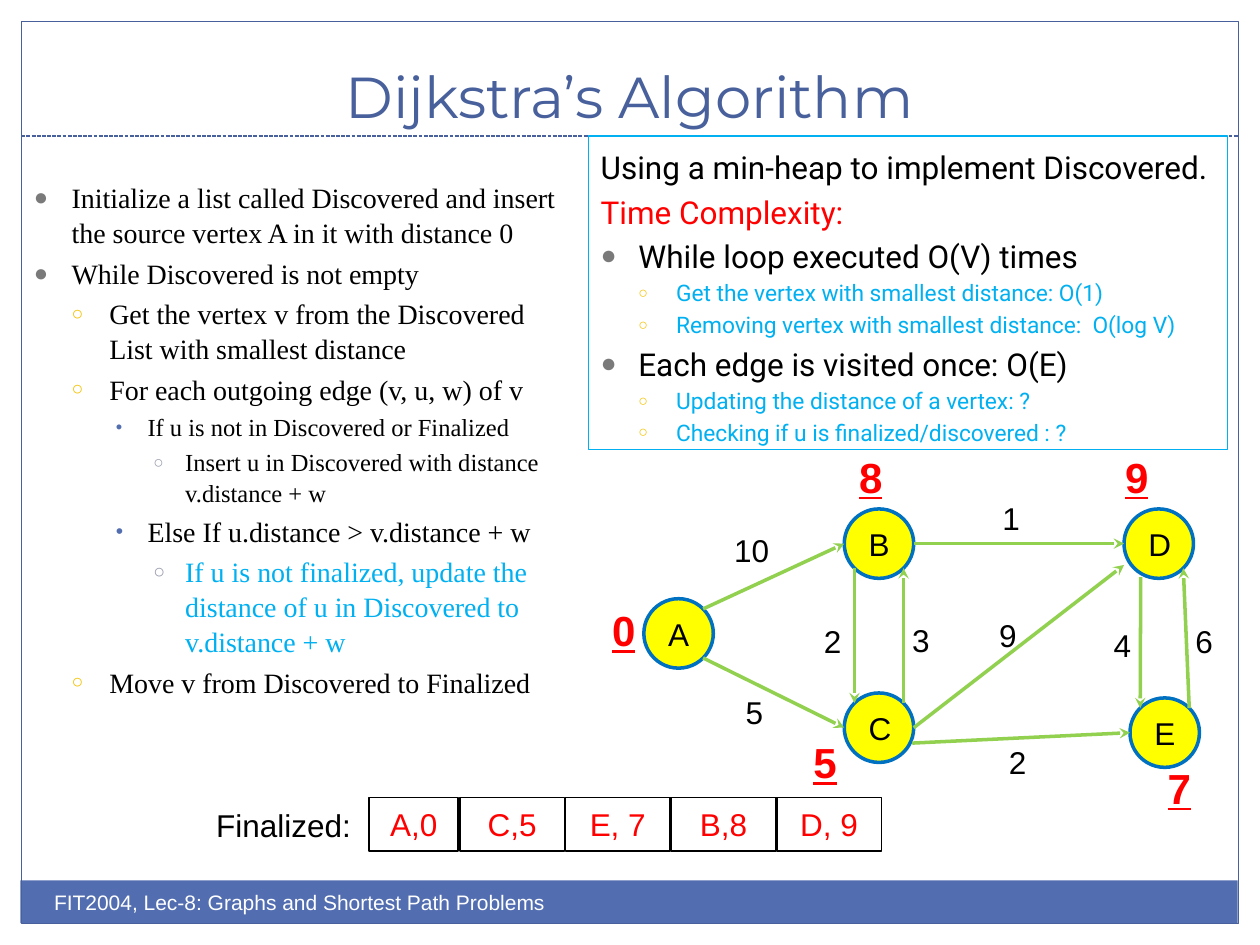
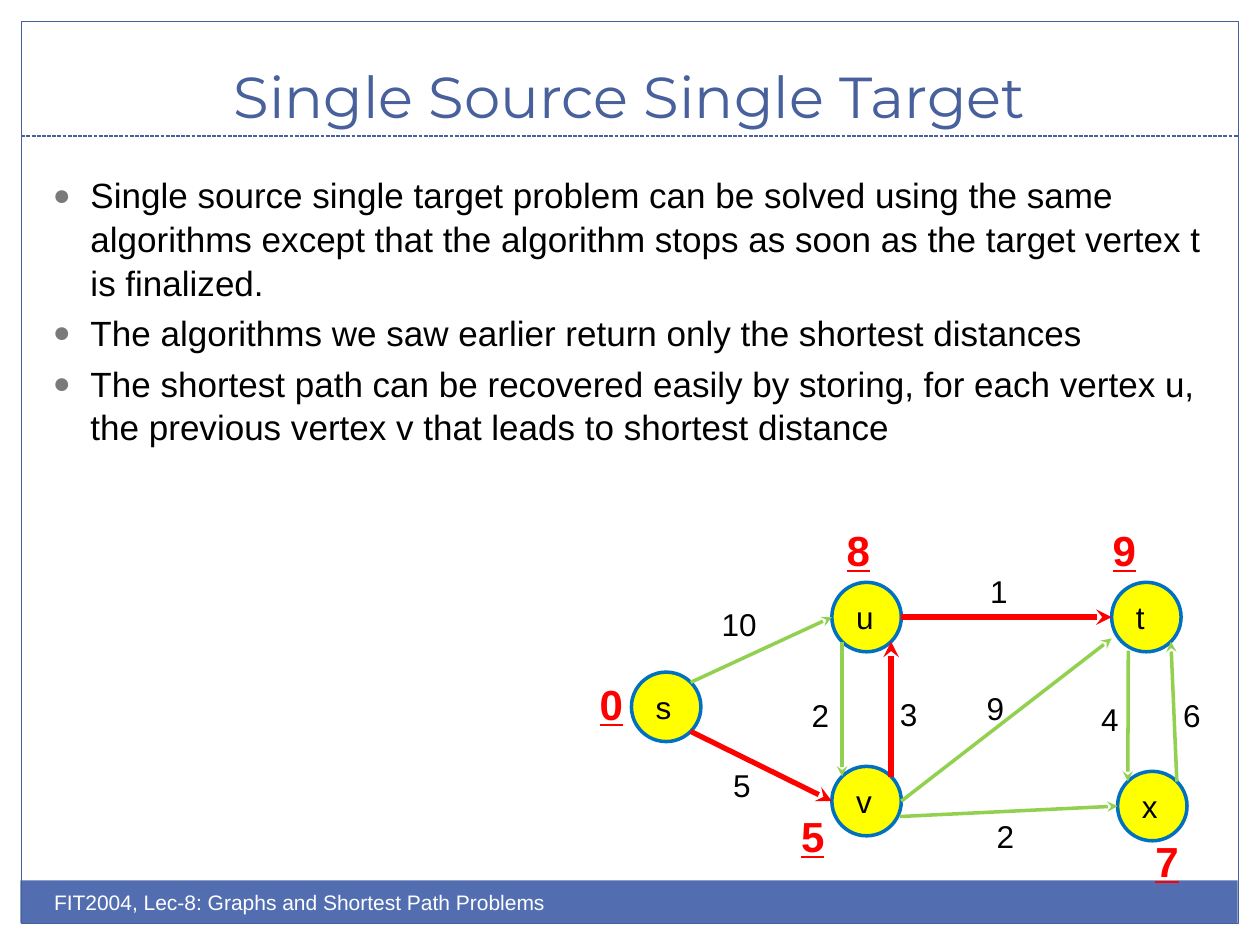
from collections import namedtuple
from math import cos, radians, sin

from lxml import etree
from pptx import Presentation
from pptx.dml.color import RGBColor
from pptx.enum import dml, shapes, text
from pptx.oxml import ns
from pptx.util import Cm, Pt

# Shared style
BLUE, BAND, WHITE, BLACK = "48609B", "526DB0", "FFFFFF", "000000"
RED, GREEN, CYAN = "FF0000", "92D050", "00B0F0"
YELLOW, NODE_LINE = "FFFF00", "0070C0"
FOOTER = "FIT2004, Lec-8: Graphs and Shortest Path Problems"

# Bullets by level: sign, colour, size in percent, left and hanging indent in cm
Bullet = namedtuple("Bullet", "sign color percent left hang")
BULLETS = [
    Bullet("●", "7A7A7A", 85, 0.76, 0.76),
    Bullet("○", "F5C201", 70, 1.52, 0.76),
    Bullet("•", BAND, 75, 2.29, 0.64),
    Bullet("○", "989AAC", 70, 3.05, 0.64),
]
Item = namedtuple("Item", "words level size color", defaults=(0, 16, BLACK))

# Graph: node corners, edges and distances in cm
DIAMETER = 1.4
NODES = {"A": (12.98, 12.07), "B": (17.02, 10.26), "C": (17.02, 13.97),
         "D": (22.66, 10.26), "E": (22.78, 14.07)}
ANGLES = {"e": 0, "se": 45, "sw": 135, "w": 180, "nw": 225, "ne": 315}
Edge = namedtuple("Edge", "start leave end enter weight label leave_shift enter_shift",
                  defaults=((0, 0), (0, 0)))
EDGES = [
    Edge("A", "ne", "B", "w", "10", (14.55, 10.59)),
    Edge("A", "se", "C", "w", "5", (14.78, 13.84)),
    Edge("B", "sw", "C", "nw", "2", (16.36, 12.42)),
    Edge("C", "ne", "B", "se", "3", (18.14, 12.4)),
    Edge("B", "e", "D", "w", "1", (19.96, 9.93)),
    Edge("C", "e", "D", "w", "9", (19.89, 12.29), enter_shift=(0, 0.43)),
    Edge("C", "e", "E", "w", "2", (20.09, 14.86), leave_shift=(-0.03, 0.31)),
    Edge("D", "sw", "E", "nw", "4", (22.2, 12.5), leave_shift=(0.13, 0.18)),
    Edge("E", "ne", "D", "se", "6", (23.85, 12.42)),
]
DISTANCES = {"0": (12.09, 12.07), "5": (16.15, 14.73), "8": (17.07, 8.97),
             "9": (22.43, 8.97), "7": (23.29, 15.24)}


def rgb(color):
    return RGBColor.from_string(color)


def add_child(parent, tag, **attributes):
    return etree.SubElement(parent, ns.qn(tag), attributes)


class Deck:
    def __init__(self):
        self.deck = Presentation()
        self.deck.slide_width, self.deck.slide_height = Cm(25.4), Cm(19.05)
        self.page = None

    def new_page(self, title):
        self.page = self.deck.slides.add_slide(self.deck.slide_layouts[1])
        # Frame, footer band and title rule
        self.shape(0.41, 17.75, 24.54, 0.86, fill=BAND)
        self.shape(0.43, 0.43, 24.54, 18.19, line=BLUE)
        rule = self.line((0.43, 2.74), (24.97, 2.74), BLUE, 0.75)
        rule.line.dash_style = dml.MSO_LINE.SQUARE_DOT
        # Title and footer
        box = self.page.shapes.title
        self.place(box, 0.84, 0.64, 23.7, 2.1)
        frame = box.text_frame
        frame.auto_size = text.MSO_AUTO_SIZE.NONE
        frame.vertical_anchor = text.MSO_ANCHOR.BOTTOM
        frame.paragraphs[0].alignment = text.PP_ALIGN.CENTER
        self.add_span(frame.paragraphs[0], title, 33, BLUE, "Montserrat")
        self.label(0.84, 17.81, FOOTER, width=12.7, size=12, color=WHITE)

    def place(self, box, left, top, width, height):
        box.left, box.top, box.width, box.height = map(Cm, (left, top, width, height))

    def add_span(self, para, words, size=18, color=BLACK, font="Arial", strong=False):
        span = para.add_run()
        span.text = words
        span.font.name, span.font.size = font, Pt(size)
        span.font.color.rgb = rgb(color)
        if strong:
            span.font.bold = span.font.underline = True

    def shape(self, left, top, width, height, fill=None, line=None, weight=0.75,
              kind=shapes.MSO_SHAPE.RECTANGLE):
        box = self.page.shapes.add_shape(kind, *map(Cm, (left, top, width, height)))
        box.shadow.inherit = False
        if fill:
            box.fill.solid()
            box.fill.fore_color.rgb = rgb(fill)
        else:
            box.fill.background()
        if line:
            box.line.color.rgb = rgb(line)
            box.line.width = Pt(weight)
        else:
            box.line.fill.background()
        return box

    def line(self, start, end, color, weight, arrow=False):
        line = self.page.shapes.add_connector(
            shapes.MSO_CONNECTOR.STRAIGHT, *map(Cm, (*start, *end)))
        line.line.color.rgb = rgb(color)
        line.line.width = Pt(weight)
        if arrow:
            outline = line._element.spPr.find(ns.qn("a:ln"))
            add_child(outline, "a:tailEnd", type="stealth")
        add_child(line._element.spPr, "a:effectLst")
        return line

    def label(self, left, top, words, width=1.0, height=1.02, **style):
        box = self.page.shapes.add_textbox(*map(Cm, (left, top, width, height)))
        box.text_frame.word_wrap = True
        self.add_span(box.text_frame.paragraphs[0], words, **style)

    def cell(self, left, top, width, height, words):
        box = self.shape(left, top, width, height, line=BLACK, weight=1)
        frame = box.text_frame
        frame.vertical_anchor = text.MSO_ANCHOR.MIDDLE
        frame.paragraphs[0].alignment = text.PP_ALIGN.CENTER
        self.add_span(frame.paragraphs[0], words, color=RED)

    def body(self, left, top, width, height, items, font):
        box = self.page.placeholders[1]
        self.place(box, left, top, width, height)
        self.fill_list(box.text_frame, items, font, 1.04)

    def fill_list(self, frame, items, font, spacing=1.0):
        """Add items as paragraphs; a level of None means no bullet."""
        frame.word_wrap = True
        frame.auto_size = text.MSO_AUTO_SIZE.NONE
        frame.vertical_anchor = text.MSO_ANCHOR.TOP
        frame.margin_top = Pt(3.6 + 0.2 * items[0].size)
        for number, item in enumerate(items):
            para = frame.add_paragraph() if number else frame.paragraphs[0]
            para.alignment = text.PP_ALIGN.LEFT
            para.line_spacing = spacing
            para.space_before = Pt(0.2 * item.size if number else 0)
            if item.level is not None:
                self.bullet(para, item.level)
            self.add_span(para, item.words, item.size, item.color, font)

    def bullet(self, para, level):
        para.level = level
        style = BULLETS[level]
        props = para._p.get_or_add_pPr()
        props.set("marL", str(Cm(style.left)))
        props.set("indent", str(-Cm(style.hang)))
        add_child(add_child(props, "a:buClr"), "a:srgbClr", val=style.color)
        add_child(props, "a:buSzPct", val=str(style.percent * 1000))
        add_child(props, "a:buFont", typeface="Arial")
        add_child(props, "a:buChar", char=style.sign)

    def graph(self, names, shift=(0, 0), shortest=()):
        """Draw the weighted graph, moved by shift, with shortest edges in red."""
        def moved(point, by=shift):
            return point[0] + by[0], point[1] + by[1]

        def rim(node, side, nudge):
            left, top = moved(moved(NODES[node]), nudge)
            angle, radius = radians(ANGLES[side]), DIAMETER / 2
            return left + radius * (1 + cos(angle)), top + radius * (1 + sin(angle))

        for node, name in zip(NODES, names):
            corner = moved(NODES[node])
            self.shape(*corner, DIAMETER, DIAMETER, YELLOW, NODE_LINE, 2,
                       shapes.MSO_SHAPE.OVAL)
            self.label(*moved(corner, (0.24, 0.2)), name)
        for edge in EDGES:
            chosen = edge.start + edge.end in shortest
            self.line(rim(edge.start, edge.leave, edge.leave_shift),
                      rim(edge.end, edge.enter, edge.enter_shift),
                      RED if chosen else GREEN, 3 if chosen else 2, arrow=True)
            self.label(*moved(edge.label), edge.weight, width=1.3)
        for distance, point in DISTANCES.items():
            self.label(*moved(point), distance, height=1.27, size=24, color=RED,
                       strong=True)


def dijkstra_page(deck):
    deck.new_page("Dijkstra’s Algorithm")
    # Steps
    deck.body(0.43, 3.38, 11.23, 9.96, [
        Item("Initialize a list called Discovered and insert the source vertex A "
             "in it with distance 0"),
        Item("While Discovered is not empty"),
        Item("Get the vertex v from the Discovered List with smallest distance", 1),
        Item("For each outgoing edge (v, u, w) of v", 1),
        Item("If u is not in Discovered or Finalized", 2, 14),
        Item("Insert u in Discovered with distance v.distance + w", 3, 14),
        Item("Else If u.distance > v.distance + w", 2),
        Item("If u is not finalized, update the distance of u in Discovered to "
             "v.distance + w", 3, 16, CYAN),
        Item("Move v from Discovered to Finalized", 1),
    ], "Times New Roman")
    deck.graph("ABCDE")
    # Finalized row
    deck.label(4.11, 16.13, "Finalized:", width=3.3)
    top, height = 16.08, 1.07
    deck.cell(7.44, top, 1.8, height, "A,0")
    for column, words in enumerate(["C,5", "E, 7", "B,8", "D, 9"]):
        deck.cell(9.27 + 2.13 * column, top, 2.11, height, words)
    # Time complexity
    panel = deck.shape(11.86, 2.74, 12.88, 6.32, line=CYAN)
    deck.fill_list(panel.text_frame, [
        Item("Using a min-heap to implement Discovered.", None, 18),
        Item("Time Complexity:", None, 18, RED),
        Item("While loop executed O(V) times", 0, 18),
        Item("Get the vertex with smallest distance: O(1)", 1, 13, CYAN),
        Item("Removing vertex with smallest distance:  O(log V)", 1, 13, CYAN),
        Item("Each edge is visited once: O(E)", 0, 18),
        Item("Updating the distance of a vertex: ?", 1, 13, CYAN),
        Item("Checking if u is finalized/discovered : ?", 1, 13, CYAN),
    ], "Roboto")


def single_target_page(deck):
    deck.new_page("Single Source Single Target")
    deck.body(0.81, 3.2, 23.67, 9.96, [
        Item("Single source single target problem can be solved using the same "
             "algorithms except that the algorithm stops as soon as the target "
             "vertex t is finalized.", size=20),
        Item("The algorithms we saw earlier return only the shortest distances",
             size=20),
        Item("The shortest path can be recovered easily by storing, for each vertex "
             "u, the previous vertex v that leads to shortest distance", size=20),
    ], "Arial")
    deck.graph("suvtx", shift=(-0.25, 1.48), shortest=("AC", "CB", "BD"))


def main():
    deck = Deck()
    dijkstra_page(deck)
    single_target_page(deck)
    deck.deck.save("out.pptx")


if __name__ == "__main__":
    main()
